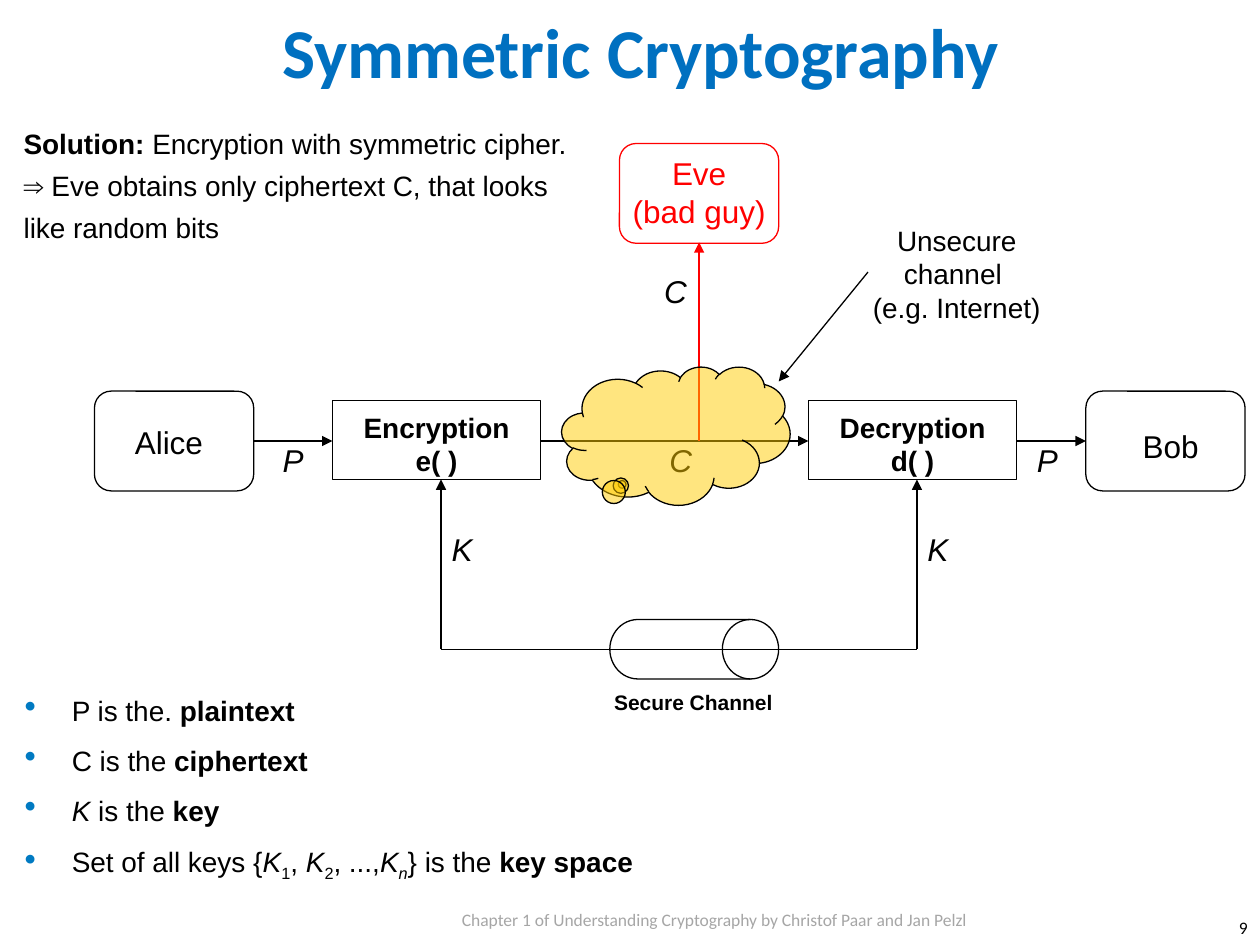
from lxml import etree
from pptx import Presentation
from pptx.dml.color import RGBColor
from pptx.enum.shapes import MSO_CONNECTOR, MSO_SHAPE
from pptx.enum.text import PP_ALIGN
from pptx.oxml.ns import qn
from pptx.util import Pt

LEFT, CENTER, RIGHT = PP_ALIGN.LEFT, PP_ALIGN.CENTER, PP_ALIGN.RIGHT
RECTANGLE, ROUNDED = MSO_SHAPE.RECTANGLE, MSO_SHAPE.ROUNDED_RECTANGLE
DRUM = MSO_SHAPE.FLOWCHART_DIRECT_ACCESS_STORAGE
CLOUD = MSO_SHAPE.CLOUD_CALLOUT
STRAIGHT = MSO_CONNECTOR.STRAIGHT
COLORS = {
    "black": "000000",
    "white": "FFFFFF",
    "title": "0070C0",
    "bullet": "007AC2",
    "eve": "FF0000",
    "cloud": "FFCC00",
    "footer": "A6A6A6",
}
FLOW_Y = 252
KEY_Y = 371
PARTY_SIZE = (91, 57)
CIPHER_SIZE = (119, 45)


def rgb(color):
    return RGBColor.from_string(COLORS[color])


def add_runs(paragraph, runs):
    for words, style in runs:
        for number, line in enumerate(words.split("\n")):
            if number:
                paragraph.add_line_break()
            run = paragraph.add_run()
            run.text = line
            if "b" in style:
                run.font.bold = True
            if "i" in style:
                run.font.italic = True
            if "_" in style:
                run._r.get_or_add_rPr().set("baseline", "-25000")


def add_bullet(paragraph):
    properties = paragraph._p.get_or_add_pPr()
    properties.set("marL", str(Pt(27)))
    properties.set("indent", str(-Pt(27)))
    bullet_color = etree.SubElement(properties, qn("a:buClr"))
    etree.SubElement(bullet_color, qn("a:srgbClr")).set("val", COLORS["bullet"])
    etree.SubElement(properties, qn("a:buSzPct")).set("val", "120000")
    etree.SubElement(properties, qn("a:buChar")).set("char", "•")


def add_text(slide, box, paragraphs, size, color="black", font="Arial", align=LEFT,
             bold=None, italic=None, spacing=None, bullets=False, wrap=True, inset=(0, 0)):
    frame = slide.shapes.add_textbox(*map(Pt, box)).text_frame
    frame.word_wrap = wrap
    frame.margin_left = frame.margin_right = Pt(inset[0])
    frame.margin_top = frame.margin_bottom = Pt(inset[1])
    for number, runs in enumerate(paragraphs):
        paragraph = frame.add_paragraph() if number else frame.paragraphs[0]
        paragraph.alignment = align
        if spacing:
            paragraph.line_spacing = spacing
        if number:
            paragraph.space_before = Pt(4.6)
        if bullets:
            add_bullet(paragraph)
        paragraph.font.name = font
        paragraph.font.size = Pt(size)
        paragraph.font.color.rgb = rgb(color)
        paragraph.font.bold = bold
        paragraph.font.italic = italic
        add_runs(paragraph, runs)


def add_label(slide, box, words, size=18, **options):
    add_text(slide, box, [[(words, "")]], size, **options)


def add_symbol(slide, left, top, letter):
    add_label(slide, (left, top, 13, 22), letter, italic=True, wrap=False)


def add_outline(slide, kind, box, line="black", fill=None, adjustments=()):
    shape = slide.shapes.add_shape(kind, *map(Pt, box))
    shape.shadow.inherit = False
    for number, value in enumerate(adjustments):
        shape.adjustments[number] = value
    if fill:
        shape.fill.solid()
        shape.fill.fore_color.rgb = rgb(fill)
    else:
        shape.fill.background()
    shape.line.color.rgb = rgb(line)
    shape.line.width = Pt(0.75)
    return shape


def add_party(slide, left, top, words, text_box, color="black"):
    add_outline(slide, ROUNDED, (left, top, *PARTY_SIZE), color, adjustments=[0.167])
    add_label(slide, text_box, words, color=color, align=CENTER)


def add_cipher(slide, left, words):
    width, height = CIPHER_SIZE
    add_outline(slide, RECTANGLE, (left, 229, width, height))
    add_label(slide, (left, 234.5, width, 38), words, 16, bold=True, align=CENTER)


def add_line(slide, start, end, color="black", arrow=True):
    connector = slide.shapes.add_connector(STRAIGHT, *map(Pt, (*start, *end)))
    connector.line.color.rgb = rgb(color)
    connector.line.width = Pt(0.75)
    if arrow:
        outline = connector.line._get_or_add_ln()
        etree.SubElement(outline, qn("a:tailEnd")).set("type", "triangle")
    etree.SubElement(connector._element.spPr, qn("a:effectLst"))


def add_cloud(slide):
    cloud = add_outline(slide, CLOUD, (321, 209.5, 130.5, 79), fill="cloud",
                        adjustments=[-0.235, 0.352])
    fill_color = cloud._element.spPr.find(qn("a:solidFill"))[0]
    etree.SubElement(fill_color, qn("a:alpha")).set("val", "50000")


def main():
    presentation = Presentation()
    presentation.slide_width, presentation.slide_height = Pt(720), Pt(540)
    slide = presentation.slides.add_slide(presentation.slide_layouts[6])

    add_label(slide, (264, 517, 341, 20),
              "Chapter 1 of Understanding Cryptography by Christof Paar and Jan Pelzl",
              10, color="footer", font="Calibri", spacing=1.2)
    add_label(slide, (111.5, 5, 509, 40), "Symmetric Cryptography", 40,
              color="title", font="Calibri", bold=True, align=CENTER)

    add_party(slide, 54, 223.5, "Alice", (57, 242, 79, 22))
    add_party(slide, 620.5, 223.5, "Bob", (629.5, 244, 79, 22))
    add_party(slide, 354, 82, "Eve\n(bad guy)", (360, 88, 79, 43), "eve")
    add_cipher(slide, 190, "Encryption\ne( )")
    add_cipher(slide, 462, "Decryption\nd( )")

    add_outline(slide, DRUM, (348.5, 354, 96.5, 34), fill="white")
    add_label(slide, (331, 394, 130.5, 14.5), "Secure Channel", 12, bold=True, align=CENTER)

    for start, end in ((145, 190), (309, 462), (581, 620.5)):
        add_line(slide, (start, FLOW_Y), (end, FLOW_Y))
    add_line(slide, (399.5, FLOW_Y), (399.5, 138.5), "eve")
    for key_x in (252, 524):
        add_line(slide, (key_x, KEY_Y), (key_x, 274))
        add_symbol(slide, key_x + 6, 303, "K")
    add_line(slide, (252, KEY_Y), (524, KEY_Y), arrow=False)

    for left, letter in ((161.5, "P"), (382.5, "C"), (592.5, "P")):
        add_symbol(slide, left, FLOW_Y, letter)
    add_cloud(slide)
    add_line(slide, (496, 155.5), (445, 218))
    add_label(slide, (484.5, 127.5, 124.5, 58), "Unsecure channel \n(e.g. Internet)",
              16, align=CENTER)
    add_symbol(slide, 379.5, 155.5, "C")

    definitions = [
        [("P is the. ", ""), ("plaintext", "b")],
        [("C is the ", ""), ("ciphertext", "b")],
        [("K", "i"), (" is the ", ""), ("key", "b")],
        [("Set of all keys {", ""), ("K", "i"), ("1", "_"), (", ", ""), ("K", "i"),
         ("2", "_"), (", ...,", ""), ("K", "i"), ("n", "i_"), ("} is the ", ""),
         ("key space", "b")],
    ]
    add_text(slide, (14, 391.5, 397, 111), definitions, 16, spacing=1.25, bullets=True)
    solution = [("Solution:", "b"),
                (" Encryption with symmetric cipher. \n"
                 "⇒ Eve obtains only ciphertext C, that looks like random bits", "")]
    add_text(slide, (13.5, 67.5, 320, 73), [solution], 16, spacing=1.25)
    add_label(slide, (690, 520.5, 30, 17), "9", 10, font="Calibri", align=RIGHT,
              inset=(7.2, 3.6))

    presentation.save("out.pptx")


if __name__ == "__main__":
    main()
